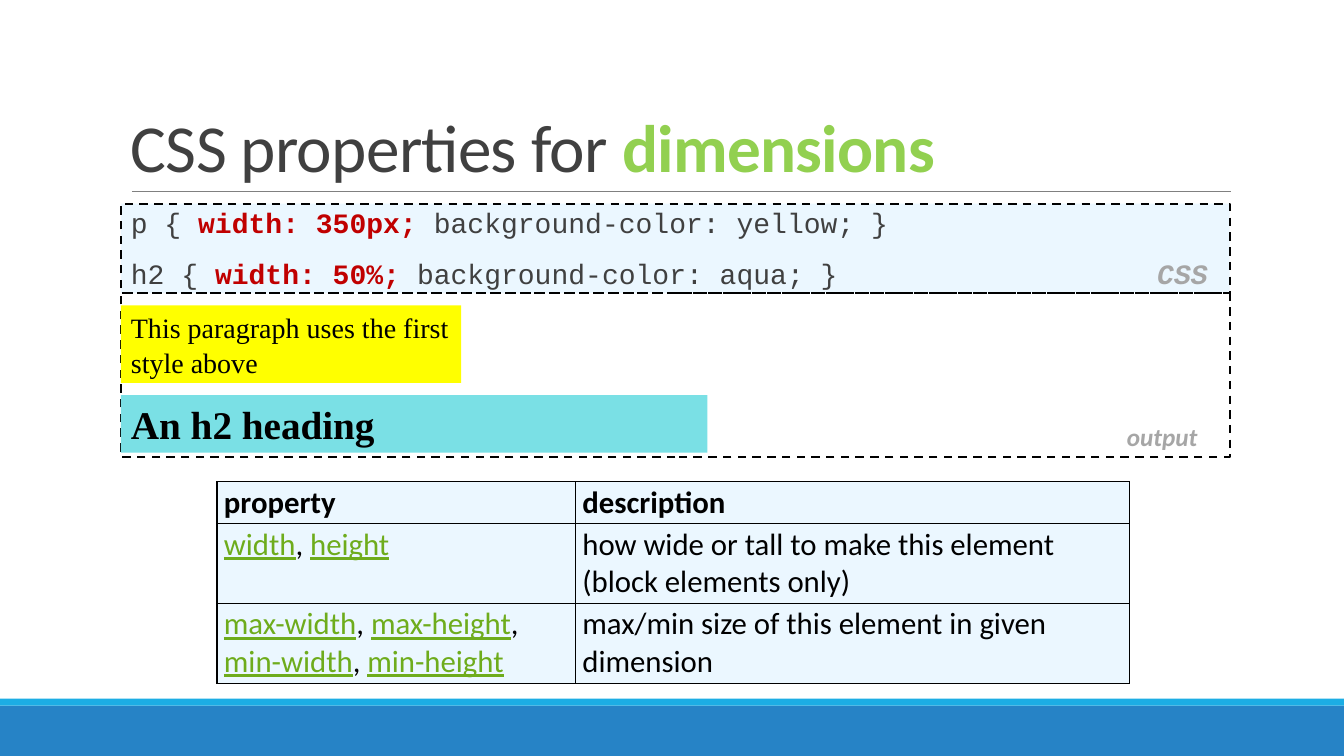
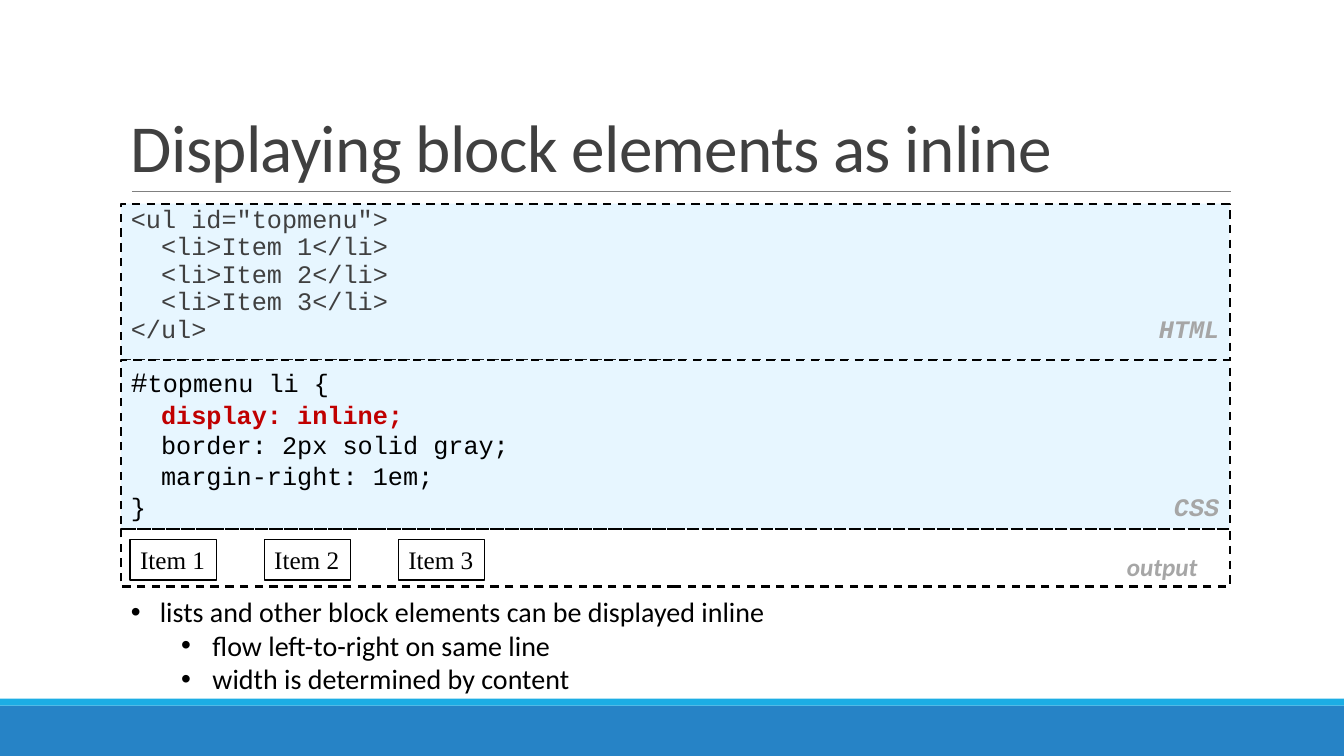
"""Build two slides about CSS dimensions and inline display."""
import pptx
import pptx.util
import pptx.dml.color
import pptx.enum.dml
import pptx.enum.shapes
import pptx.enum.text
import pptx.oxml
import pptx.oxml.ns

Pt = pptx.util.Pt
CODE, PAGE, BODY = "Courier New", "Times New Roman", "Calibri"
BLACK, GRAY, PALE, SKY = "000000", "404040", "EBF7FF", "E7F6FF"
LEFT, WIDTH, CODE_TOP = 86.4, 792, 145.5
BANDS = [(504, 36, "2683C6"), (499, 5, "1CADE4")]
MARKS = {
    "key": {"color": "92D050", "bold": True},
    "hot": {"color": "C00000", "bold": True},
    "tag": {"color": "A6A6A6", "bold": True, "italic": True},
    "link": {"color": "6EAC1C", "underline": True},
    "bold": {"bold": True},
    "large": {"size": 20},
}

DIMENSIONS_TITLE = ["CSS properties for ", ("dimensions", "key")]
DIMENSIONS_CODE = [
    ["p { ", ("width: 350px;", "hot"), " background-color: yellow; }"],
    ["h2 { ", ("width: 50%;", "hot"), " background-color: aqua; }", ("\tCSS", "tag")],
]
OUTPUT = [[("output", "tag")]]
STYLED_PARAGRAPH = [["This paragraph uses the first style above"]]
STYLED_HEADING = [[("An h2 heading", "bold")]]
COLUMNS, ROWS = [256, 396], [30, 57, 57]
PROPERTIES = [
    [[("property", "bold")], [("description", "bold")]],
    [[("width", "link"), ", ", ("height", "link")],
     ["how wide or tall to make this element", "\n", "(block elements only)"]],
    [[("max-width", "link"), ", ", ("max-height", "link"), ",", "\n",
      ("min-width", "link"), ", ", ("min-height", "link")],
     ["max/min size of this element in given dimension"]],
]

INLINE_TITLE = ["Displaying block elements as inline"]
INLINE_HTML = [
    ['<ul id="topmenu">'],
    ["  <li>Item 1</li>"],
    ["  <li>Item 2</li>"],
    ["  <li>Item 3</li>"],
    ["</ul>", ("\tHTML", "tag")],
]
INLINE_CSS = [
    [("#", "large"), "topmenu li {"],
    ["  ", ("display: inline;", "hot")],
    ["  border: 2px solid gray;"],
    ["  margin-right: 1em;"],
    ["}", ("\tCSS", "tag")],
]
MENU_ITEMS = ["Item 1", "Item 2", "Item 3"]
NOTES = [
    (0, "lists and other block elements can be displayed inline"),
    (1, "flow left-to-right on same line"),
    (1, "width is determined by content"),
]
NOTE_INDENTS = [(20.7, -20.7), (58.3, -22.3)]


def rgb(color):
    return pptx.dml.color.RGBColor.from_string(color)


def add_properties(paragraph, xml):
    namespace = pptx.oxml.ns.nsdecls("a")
    element = pptx.oxml.parse_xml(xml.replace("/>", f" {namespace}/>", 1)
                                  if xml.count("<") == 1
                                  else xml.replace(">", f" {namespace}>", 1))
    paragraph._p.get_or_add_pPr().append(element)


def add_runs(paragraph, pieces, font, size, color):
    runs = []
    for piece in pieces:
        if piece == "\n":
            paragraph.add_line_break()
            continue
        text, mark = (piece, None) if isinstance(piece, str) else piece
        style = MARKS.get(mark, {})
        run = paragraph.add_run()
        run.text = text
        run.font.name = font
        run.font.size = Pt(style.get("size", size))
        run.font.color.rgb = rgb(style.get("color", color))
        run.font.bold = style.get("bold", False)
        run.font.italic = style.get("italic", False)
        run.font.underline = style.get("underline", False)
        runs.append(run)
    return runs


def add_box(slide, left, top, width, height, fill=None, line=None, dashed=False):
    shape = slide.shapes.add_shape(pptx.enum.shapes.MSO_SHAPE.RECTANGLE,
                                   Pt(left), Pt(top), Pt(width), Pt(height))
    shape.shadow.inherit = False
    if fill:
        shape.fill.solid()
        shape.fill.fore_color.rgb = rgb(fill)
    else:
        shape.fill.background()
    if line:
        shape.line.color.rgb = rgb(BLACK)
        shape.line.width = Pt(line)
        if dashed:
            shape.line.dash_style = pptx.enum.dml.MSO_LINE.DASH
    else:
        shape.line.fill.background()
    return shape


def write(shape, lines, font, size, color=BLACK, spacing=None, after=0, tab=None,
          right=7.2, align="LEFT", anchor="TOP", wrap=True):
    frame = shape.text_frame
    frame.word_wrap = wrap
    frame.margin_left, frame.margin_right = Pt(7.2), Pt(right)
    frame.margin_top = frame.margin_bottom = Pt(3.6)
    frame.vertical_anchor = pptx.enum.text.MSO_ANCHOR[anchor]
    for index, pieces in enumerate(lines):
        paragraph = frame.add_paragraph() if index else frame.paragraphs[0]
        paragraph.alignment = pptx.enum.text.PP_ALIGN[align]
        paragraph.space_after = Pt(after)
        if spacing:
            paragraph.line_spacing = Pt(spacing)
        if tab:
            add_properties(paragraph, f'<a:tabLst><a:tab pos="{Pt(tab)}" algn="r"/></a:tabLst>')
        add_runs(paragraph, pieces, font, size, color)
    return frame


def add_code(slide, top, height, fill, lines, size, **layout):
    box = add_box(slide, LEFT, top, WIDTH, height, fill, 1.5, True)
    write(box, lines, CODE, size, right=0, **layout)


def add_output(slide, top, height):
    box = add_box(slide, LEFT, top, WIDTH, height, None, 1.5, True)
    write(box, OUTPUT, BODY, 18, right=23, align="RIGHT", anchor="BOTTOM")


def add_slide(presentation, title):
    slide = presentation.slides.add_slide(presentation.slide_layouts[6])
    for top, height, color in BANDS:
        add_box(slide, 0, top, 960, height, color)
    rule = slide.shapes.add_connector(pptx.enum.shapes.MSO_CONNECTOR.STRAIGHT,
                                      Pt(94.3), Pt(136.8), Pt(879), Pt(136.8))
    rule.line.color.rgb = rgb("808080")
    rule.line.width = Pt(0.5)
    rule._element.spPr.append(pptx.oxml.parse_xml(
        f'<a:effectLst {pptx.oxml.ns.nsdecls("a")}/>'))
    box = slide.shapes.add_textbox(Pt(LEFT), Pt(22.3), Pt(WIDTH), Pt(114.5))
    frame = write(box, [[]], BODY, 48, anchor="BOTTOM")
    paragraph = frame.paragraphs[0]
    paragraph.line_spacing = 0.85
    for run in add_runs(paragraph, title, BODY, 48, GRAY):
        run._r.get_or_add_rPr().set("spc", "-50")
    return slide


def add_border(cell):
    properties = cell._tc.get_or_add_tcPr()
    for index, side in enumerate("LRTB"):
        properties.insert(index, pptx.oxml.parse_xml(
            f'<a:ln{side} {pptx.oxml.ns.nsdecls("a")} w="{Pt(1)}"><a:solidFill>'
            f'<a:srgbClr val="{BLACK}"/></a:solidFill></a:ln{side}>'))


def add_property_table(slide):
    table = slide.shapes.add_table(len(ROWS), len(COLUMNS), Pt(155), Pt(344.2),
                                   Pt(sum(COLUMNS)), Pt(sum(ROWS))).table
    for column, width in zip(table.columns, COLUMNS):
        column.width = Pt(width)
    for row, height, contents in zip(table.rows, ROWS, PROPERTIES):
        row.height = Pt(height)
        for cell, pieces in zip(row.cells, contents):
            cell.fill.solid()
            cell.fill.fore_color.rgb = rgb(PALE)
            add_border(cell)
            cell.margin_left = cell.margin_right = Pt(5)
            cell.margin_top = cell.margin_bottom = Pt(1.5)
            add_runs(cell.text_frame.paragraphs[0], pieces, BODY, 22, BLACK)


def add_notes_list(slide):
    box = slide.shapes.add_textbox(Pt(LEFT), Pt(421.2), Pt(WIDTH), Pt(80))
    frame = write(box, [[text] for _, text in NOTES], BODY, 20)
    for paragraph, (level, _) in zip(frame.paragraphs, NOTES):
        paragraph.level = level
        margin, indent = NOTE_INDENTS[level]
        properties = paragraph._p.get_or_add_pPr()
        properties.set("marL", str(Pt(margin)))
        properties.set("indent", str(Pt(indent)))
        add_properties(paragraph, '<a:buFont typeface="Arial"/>')
        add_properties(paragraph, '<a:buChar char="•"/>')


def build_dimensions(presentation):
    slide = add_slide(presentation, DIMENSIONS_TITLE)
    add_code(slide, CODE_TOP, 64, PALE, DIMENSIONS_CODE, 20,
             color=GRAY, spacing=22, after=14, tab=769.2)
    add_output(slide, CODE_TOP + 64, 116.7)
    write(add_box(slide, LEFT, 218.2, 243, 55.4, "FFFF00"),
          STYLED_PARAGRAPH, PAGE, 20, spacing=24.4)
    write(add_box(slide, LEFT, 282.3, 419, 41, "7AE0E5"), STYLED_HEADING, PAGE, 28)
    add_property_table(slide)


def build_inline(presentation):
    slide = add_slide(presentation, INLINE_TITLE)
    add_code(slide, CODE_TOP, 111.5, SKY, INLINE_HTML, 18,
             color=GRAY, spacing=17.6, after=2, tab=777.5)
    add_code(slide, CODE_TOP + 111.5, 121, SKY, INLINE_CSS, 18,
             spacing=22, tab=777.5, anchor="MIDDLE")
    add_output(slide, CODE_TOP + 232.5, 41)
    for index, item in enumerate(MENU_ITEMS):
        box = add_box(slide, 93 + index * 95.8, 385.4, 61.5, 29, None, 1)
        write(box, [[item]], PAGE, 18, wrap=False)
    add_notes_list(slide)


def main():
    presentation = pptx.Presentation()
    presentation.slide_width, presentation.slide_height = Pt(960), Pt(540)
    build_dimensions(presentation)
    build_inline(presentation)
    presentation.save("out.pptx")


if __name__ == "__main__":
    main()
